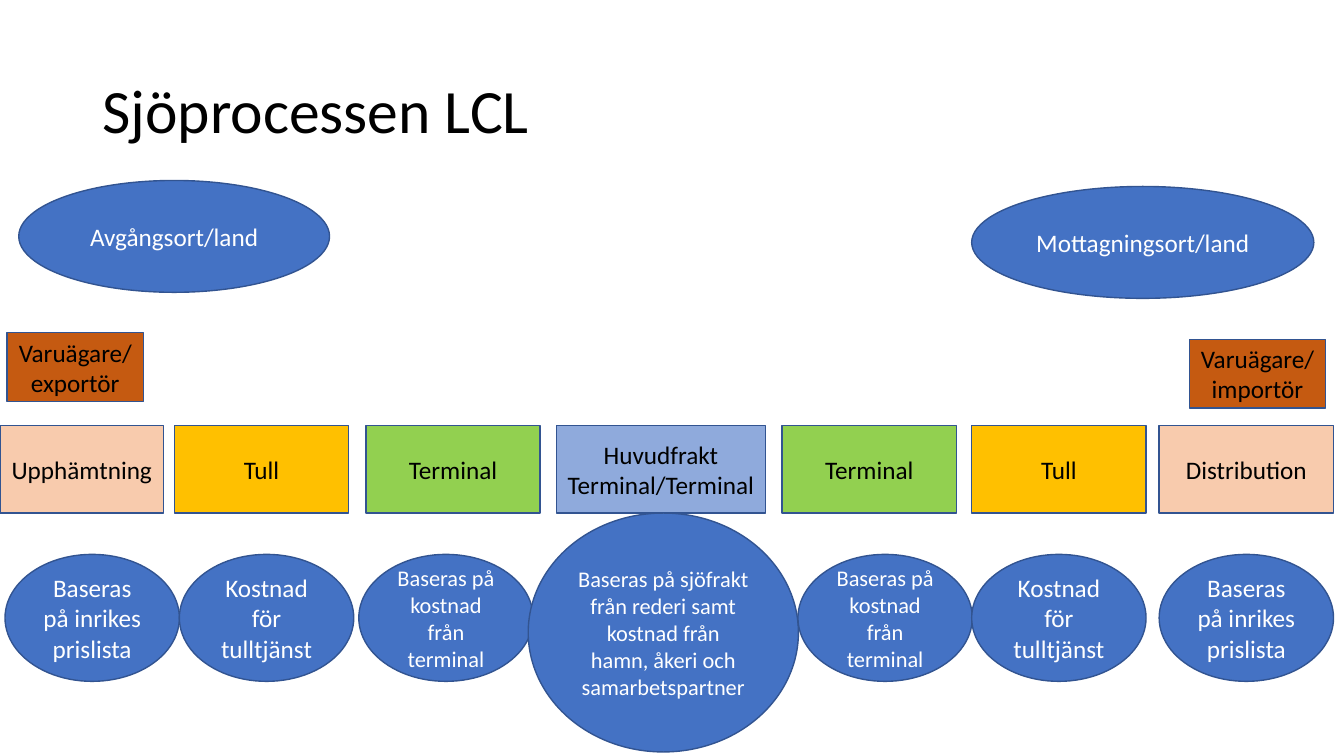
from dataclasses import dataclass

import pptx
import pptx.dml.color
import pptx.enum.shapes
import pptx.enum.text
import pptx.util

Pt = pptx.util.Pt
Shapes = pptx.enum.shapes.MSO_SHAPE
Align = pptx.enum.text.PP_ALIGN
Anchor = pptx.enum.text.MSO_ANCHOR

FONT = "Calibri"
COLORS = {
    "black": "000000",
    "white": "FFFFFF",
    "outline": "325491",
    "blue": "4472C4",
    "pale blue": "8FAADC",
    "peach": "F8CBAD",
    "yellow": "FFC000",
    "green": "92D050",
    "orange": "C55A11",
}

STAGE_TOP, STAGE_HEIGHT = 303.84, 62.64
COST_TOP, COST_HEIGHT = 396, 90.72
STEP_WIDTH = 124.56


@dataclass(frozen=True)
class Node:
    text: str
    left: float
    top: float
    width: float
    height: float
    fill: str = "blue"
    size: float = 18


@dataclass(frozen=True)
class Stage:
    text: str
    left: float
    fill: str
    width: float = STEP_WIDTH

    def node(self) -> Node:
        return Node(self.text, self.left, STAGE_TOP, self.width, STAGE_HEIGHT, self.fill)


@dataclass(frozen=True)
class Cost:
    text: str
    left: float
    size: float = 18
    top: float = COST_TOP
    width: float = STEP_WIDTH
    height: float = COST_HEIGHT

    def node(self) -> Node:
        return Node(self.text, self.left, self.top, self.width, self.height, size=self.size)


PLACES = [
    Node("Avgångsort/land", 13.4, 128.88, 222, 79.9),
    Node("Mottagningsort/land", 694.08, 133.2, 244.4, 79.9),
]
OWNERS = [
    Node("Varuägare/exportör", 5, 237.6, 97.5, 49.2, "orange"),
    Node("Varuägare/importör", 849.5, 242.4, 97.5, 49.2, "orange"),
]
STAGES = [
    Stage("Upphämtning", 0, "peach", 116.9),
    Stage("Tull", 124.56, "yellow"),
    Stage("Terminal", 261.36, "green"),
    Stage("Huvudfrakt Terminal/Terminal", 397.44, "pale blue", 149.3),
    Stage("Terminal", 558.72, "green"),
    Stage("Tull", 694.08, "yellow"),
    Stage("Distribution", 828, "peach"),
]
DOMESTIC = "Baseras på inrikes prislista"
CUSTOMS = "Kostnad för tulltjänst"
TERMINAL = "Baseras på kostnad från terminal"
SEA_FREIGHT = (
    "Baseras på sjöfrakt från rederi samt kostnad från "
    "hamn, åkeri och samarbetspartner"
)
COSTS = [
    Cost(DOMESTIC, 3.6),
    Cost(CUSTOMS, 128.16),
    Cost(TERMINAL, 256.32, 16),
    Cost(SEA_FREIGHT, 377.28, 16, 366.48, 193, 170.64),
    Cost(TERMINAL, 570, 16),
    Cost(CUSTOMS, 694.08),
    Cost(DOMESTIC, 828),
]


def color(name: str) -> pptx.dml.color.RGBColor:
    return pptx.dml.color.RGBColor.from_string(COLORS[name])


def write(frame, text: str, size: float, ink: str, align):
    frame.word_wrap = True
    frame.auto_size = pptx.enum.text.MSO_AUTO_SIZE.NONE
    frame.vertical_anchor = Anchor.MIDDLE
    para = frame.paragraphs[0]
    para.text = text
    para.alignment = align
    para.font.name = FONT
    para.font.size = Pt(size)
    para.font.color.rgb = color(ink)
    return para


def draw_title(page, text: str) -> None:
    title = page.shapes.title
    title.left, title.top = Pt(66), Pt(28.8)
    title.width, title.height = Pt(828), Pt(104.4)
    para = write(title.text_frame, text, 44, "black", Align.LEFT)
    para.line_spacing = 0.9


def draw_node(page, node: Node, kind, ink: str) -> None:
    shape = page.shapes.add_shape(
        kind, Pt(node.left), Pt(node.top), Pt(node.width), Pt(node.height)
    )
    shape.shadow.inherit = False
    shape.fill.solid()
    shape.fill.fore_color.rgb = color(node.fill)
    shape.line.color.rgb = color("outline")
    shape.line.width = Pt(1)
    write(shape.text_frame, node.text, node.size, ink, Align.CENTER)


def main() -> None:
    deck = pptx.Presentation()
    deck.slide_width, deck.slide_height = Pt(960), Pt(540)
    page = deck.slides.add_slide(deck.slide_layouts.get_by_name("Title Only"))
    draw_title(page, "Sjöprocessen LCL")
    for node in [stage.node() for stage in STAGES] + OWNERS:
        draw_node(page, node, Shapes.RECTANGLE, "black")
    for node in PLACES + [cost.node() for cost in COSTS]:
        draw_node(page, node, Shapes.OVAL, "white")
    deck.save("out.pptx")


if __name__ == "__main__":
    main()
